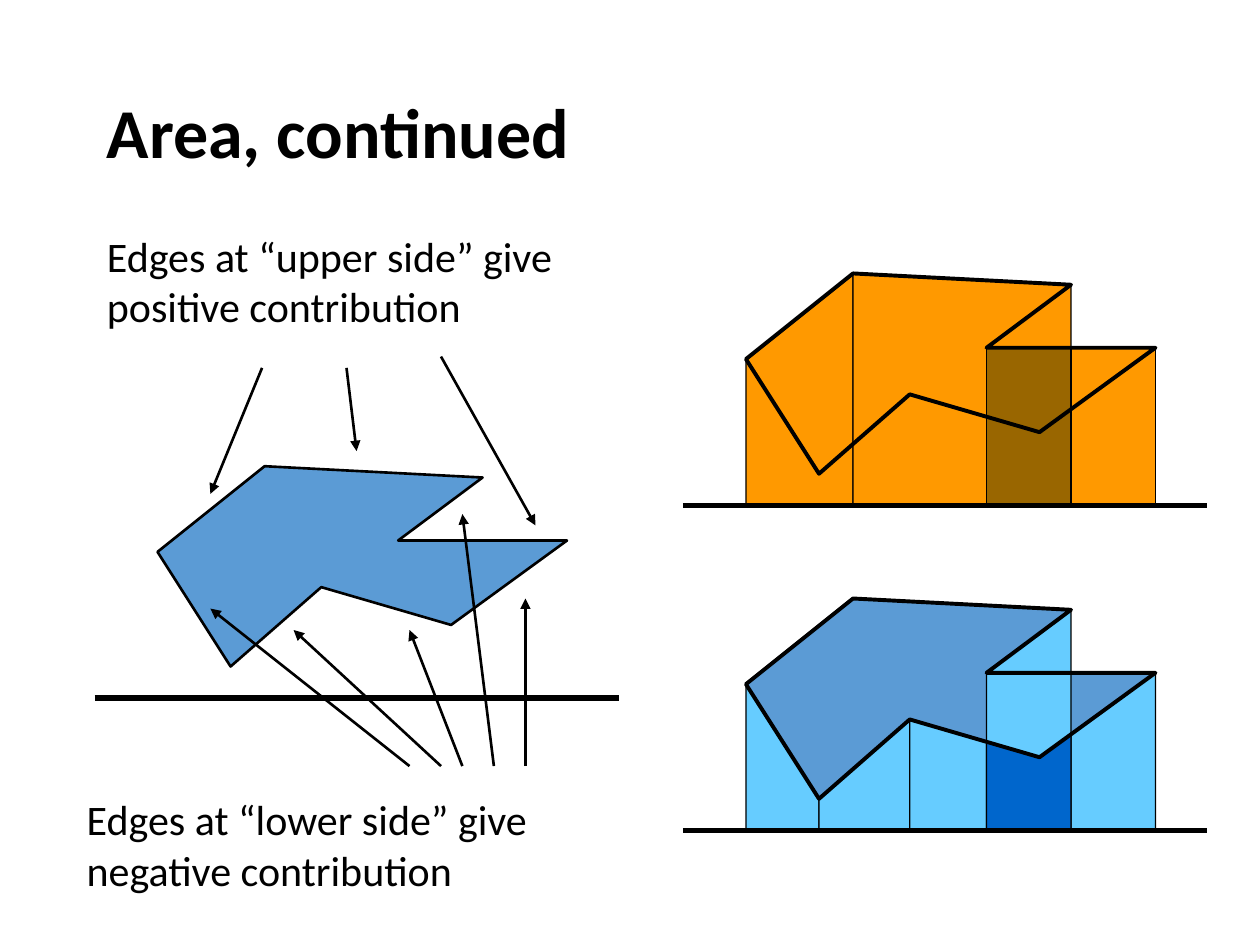
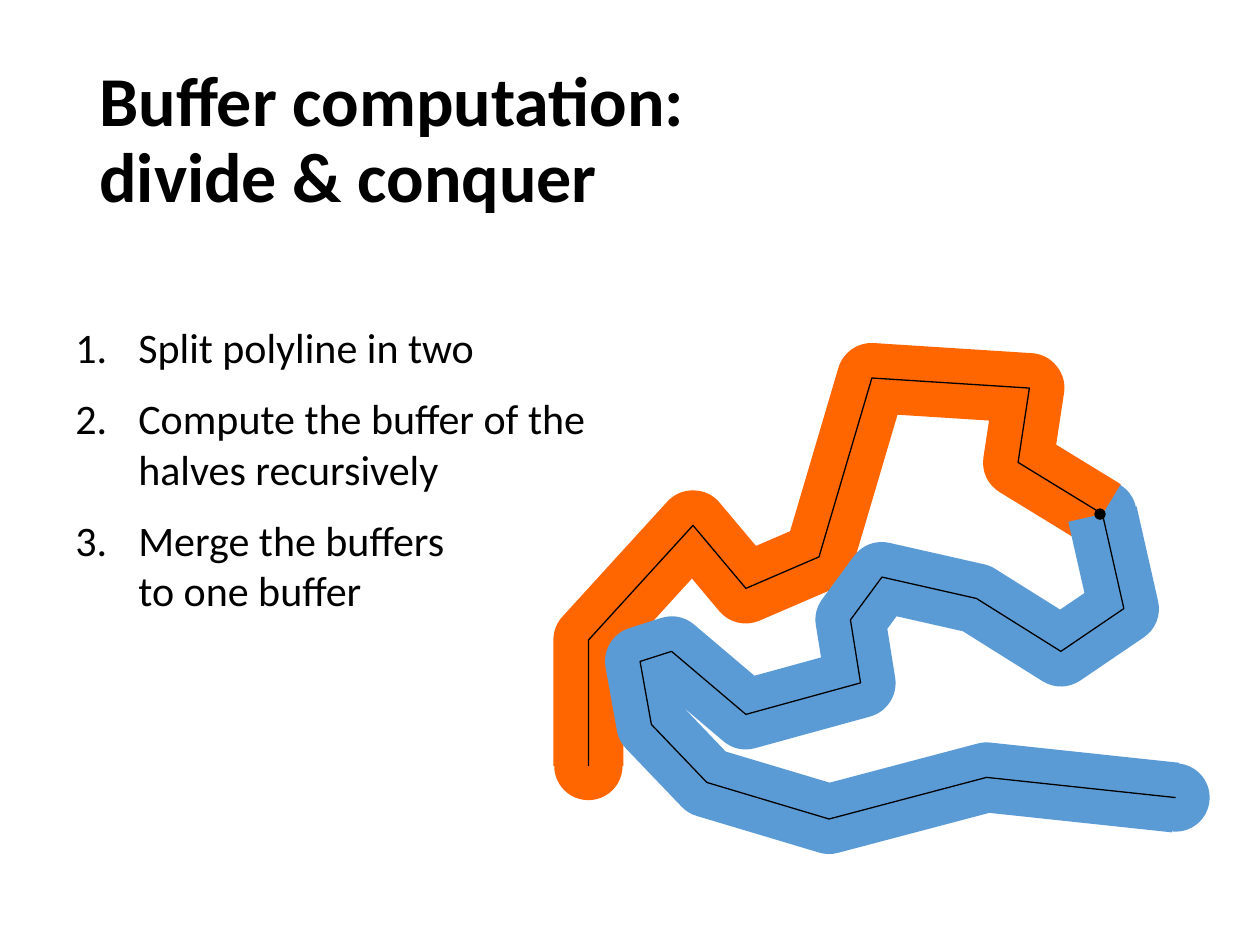
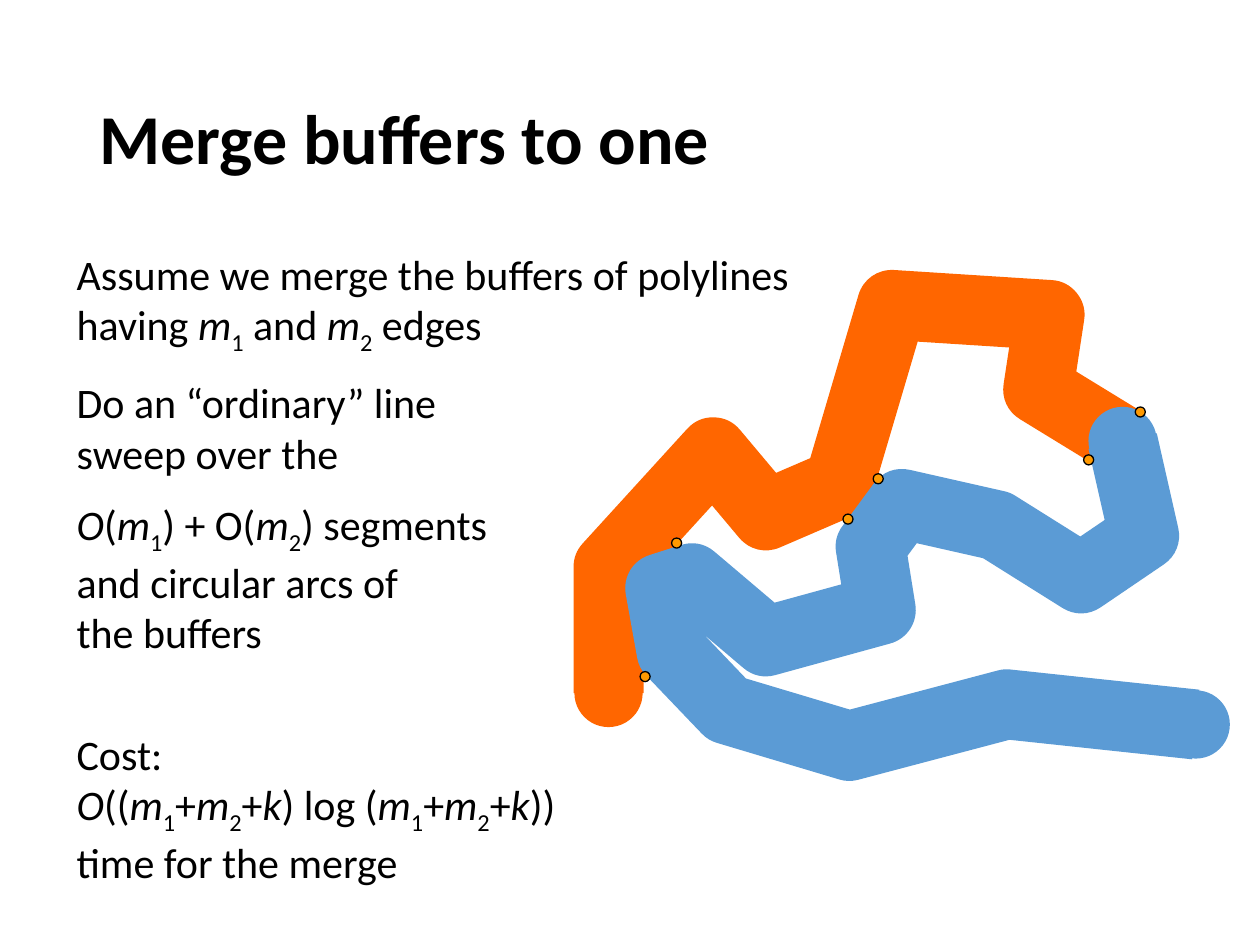
import pptx
import pptx.dml.color
import pptx.enum.shapes
import pptx.enum.text
import pptx.oxml
import pptx.oxml.ns
import pptx.util

Inches = pptx.util.Inches
COLORS = {
    "black": "000000",
    "white": "FFFFFF",
    "polygon": "5B9BD5",
    "upper": "FF9900",
    "upper_overlap": "996600",
    "lower": "66CCFF",
    "lower_overlap": "0066CC",
    "first_half": "FF6600",
    "second_half": "5B9BD5",
    "crossing": "FF9900",
}
FONT = "Calibri"

POLYGON = [(0, 0.68), (0.58, 1.59), (1.3, 0.96), (2.33, 1.26),
           (3.25, 0.59), (1.91, 0.59), (2.58, 0.09), (0.85, 0)]
POLYGON_INDENT = 0.5
BASELINE_DEPTH = 1.84
BASELINE_LENGTH = 4.16
UPPER_EDGES = [(0, 7), (7, 6), (5, 4)]
LOWER_EDGES = [(0, 1), (1, 2), (2, 3), (3, 4), (5, 6)]
UPPER_OVERLAP = [(1.91, 0.59), (2.58, 0.59)]
LOWER_OVERLAP = [(1.91, 1.14), (2.33, 1.26), (2.58, 1.08)]

FIRST_HALF = [(0, 3.08), (0, 2.08), (0.83, 1.17), (1.25, 1.67), (1.83, 1.42),
              (2.25, 0), (3.5, 0.08), (3.41, 0.67), (4.08, 1.08)]
SECOND_HALF = [(4.08, 1.08), (4.25, 1.83), (3.75, 2.17), (3.08, 1.75), (2.33, 1.58),
               (2.08, 1.92), (2.16, 2.42), (1.25, 2.67), (0.66, 2.17), (0.41, 2.25),
               (0.5, 2.75), (0.94, 3.21), (1.91, 3.5), (3.16, 3.17), (4.66, 3.33)]
CROSSINGS = [(0.29, 2.95), (0.54, 1.89), (2.14, 1.38),
             (1.9, 1.7), (4.22, 0.85), (3.81, 1.23)]
BUFFER_WIDTH = 40
CAP_DIAMETER = 0.5
DOT_DIAMETER = 0.08


def rgb(name):
    """Return the named colour."""
    return pptx.dml.color.RGBColor.from_string(COLORS[name])


def add_element(parent, tag, **attributes):
    """Append a drawing element to the parent."""
    element = pptx.oxml.parse_xml(f"<a:{tag} {pptx.oxml.ns.nsdecls('a')}/>")
    for key, value in attributes.items():
        element.set(key, value)
    parent.append(element)


def style(shape, fill, line, width):
    """Give a shape its fill and outline, without a shadow."""
    shape.shadow.inherit = False
    if fill:
        shape.fill.solid()
        shape.fill.fore_color.rgb = rgb(fill)
    else:
        shape.fill.background()
    shape.line.color.rgb = rgb(line)
    shape.line.width = pptx.util.Pt(width)


def outline(slide, left, top, points, fill=None, line="black", width=0.75, close=True):
    """Draw a polygon or polyline whose points are relative to left and top."""
    corners = [(Inches(left + x), Inches(top + y)) for x, y in points]
    builder = slide.shapes.build_freeform(*corners[0])
    builder.add_line_segments(corners[1:], close=close)
    shape = builder.convert_to_shape()
    style(shape, fill, line, width)
    add_element(shape.line._get_or_add_ln(), "round")


def circle(slide, x, y, diameter, fill, line="black", width=0.75):
    """Draw a circle around a centre."""
    shape = slide.shapes.add_shape(
        pptx.enum.shapes.MSO_SHAPE.OVAL, Inches(x - diameter / 2),
        Inches(y - diameter / 2), Inches(diameter), Inches(diameter))
    style(shape, fill, line, width)


def straight(slide, start, end, width, arrow=False):
    """Draw a straight line, optionally with an arrowhead at its end."""
    connector = slide.shapes.add_connector(
        pptx.enum.shapes.MSO_CONNECTOR.STRAIGHT,
        *(Inches(value) for value in (*start, *end)))
    connector.line.color.rgb = rgb("black")
    connector.line.width = pptx.util.Pt(width)
    if arrow:
        add_element(connector.line._get_or_add_ln(), "tailEnd", type="triangle")
    add_element(connector._element.spPr, "effectLst")


def fill_paragraph(paragraph, text, size, bold):
    """Write text where | splits runs, * starts an italic run and _ a subscript."""
    for number, line in enumerate(text.split("\n")):
        if number:
            paragraph.add_line_break()
        for piece in line.split("|"):
            run = paragraph.add_run()
            run.text = piece.lstrip("*_")
            run.font.name = FONT
            run.font.size = pptx.util.Pt(size)
            run.font.bold = bold
            run.font.color.rgb = rgb("black")
            if piece.startswith("*"):
                run.font.italic = True
            if piece.startswith("_"):
                run._r.get_or_add_rPr().set("baseline", "-25000")


def text_block(slide, box, paragraphs, size=24, bold=False, gaps=(), numbered=False):
    """Place paragraphs in a box, with the given gaps between them."""
    frame = slide.shapes.add_textbox(*(Inches(value) for value in box)).text_frame
    frame.word_wrap = True
    for number, text in enumerate(paragraphs):
        paragraph = frame.add_paragraph() if number else frame.paragraphs[0]
        if numbered:
            properties = paragraph._p.get_or_add_pPr()
            properties.set("marL", str(Inches(0.5)))
            properties.set("indent", str(Inches(-0.5)))
            add_element(properties, "buFont", typeface="+mj-lt")
            add_element(properties, "buAutoNum", type="arabicPeriod")
        if number and gaps:
            paragraph.space_before = pptx.util.Pt(gaps[number - 1])
        fill_paragraph(paragraph, text, size, bold)
    return frame


def title(slide, text, box=(0.69, 0.4, 8.62, 1.45)):
    """Write the slide title."""
    frame = text_block(slide, box, [text], size=40, bold=True)
    frame.vertical_anchor = pptx.enum.text.MSO_ANCHOR.MIDDLE
    frame.paragraphs[0].line_spacing = 0.9


def baseline(slide, left, top):
    """Draw the ground line of a polygon figure."""
    depth = top + BASELINE_DEPTH
    straight(slide, (left, depth), (left + BASELINE_LENGTH, depth), 3)


def strip(slide, left, top, roof, fill):
    """Fill the area between a roof line and the ground line."""
    ground = [(roof[-1][0], BASELINE_DEPTH), (roof[0][0], BASELINE_DEPTH)]
    outline(slide, left, top, [*roof, *ground], fill)


def area_figure(slide, left, top, edges, side, overlap):
    """Draw the polygon with the strips below the given edges."""
    inner = left + POLYGON_INDENT
    outline(slide, inner, top, POLYGON, "polygon")
    for start, end in edges:
        strip(slide, inner, top, [POLYGON[start], POLYGON[end]], side)
    strip(slide, inner, top, overlap, side + "_overlap")
    baseline(slide, left, top)
    outline(slide, inner, top, POLYGON, width=2.25)


def edges_figure(slide, left, top):
    """Draw the plain polygon with arrows to its upper and lower edges."""
    outline(slide, left + POLYGON_INDENT, top, POLYGON, "polygon", width=1.5)
    baseline(slide, left, top)
    upper_arrows = [((1.33, -0.78), (0.92, 0.22)), ((2, -0.78), (2.08, -0.12)),
                    ((2.75, -0.87), (3.5, 0.47))]
    lower_starts = [2.5, 2.75, 2.92, 3.17, 3.42]
    lower_ends = [(0.92, 1.13), (1.58, 1.3), (2.5, 1.3), (2.92, 0.38), (3.42, 1.05)]
    lower_arrows = [((x, 2.38), end) for x, end in zip(lower_starts, lower_ends)]
    for start, end in upper_arrows + lower_arrows:
        straight(slide, (left + start[0], top + start[1]),
                 (left + end[0], top + end[1]), 1.5, arrow=True)


def buffers(slide, left, top, first_covers_split):
    """Draw the buffers of both polyline halves with their round ends."""
    def cap(point, color):
        """Draw a round buffer end."""
        circle(slide, left + point[0], top + point[1], CAP_DIAMETER, color, color, 3)

    def band(points, color):
        """Draw a half as a wide band."""
        outline(slide, left, top, points, None, color, BUFFER_WIDTH, close=False)

    cap(FIRST_HALF[0], "first_half")
    if first_covers_split:
        cap(SECOND_HALF[0], "second_half")
    band(FIRST_HALF, "first_half")
    if not first_covers_split:
        cap(SECOND_HALF[0], "second_half")
    cap(SECOND_HALF[-1], "second_half")
    band(SECOND_HALF, "second_half")


def area_slide(slide):
    """Build the slide on signed area contributions."""
    title(slide, "Area, continued", (0.75, 0.45, 8.5, 1.25))
    text_block(slide, (0.75, 1.78, 4.6, 0.91),
               ["Edges at “upper side” give positive contribution"])
    text_block(slide, (0.59, 6.25, 4.67, 0.91),
               ["Edges at “lower side” give negative contribution"])
    edges_figure(slide, 0.75, 3.7)
    area_figure(slide, 5.42, 2.17, UPPER_EDGES, "upper", UPPER_OVERLAP)
    area_figure(slide, 5.42, 4.75, LOWER_EDGES, "lower", LOWER_OVERLAP)


def divide_slide(slide, left=4.67, top=3):
    """Build the slide on divide and conquer."""
    buffers(slide, left, top, first_covers_split=True)
    for half in (FIRST_HALF, SECOND_HALF):
        outline(slide, left, top, half, close=False)
    circle(slide, left + 4.06, top + 1.08, DOT_DIAMETER, "black")
    title(slide, "Buffer computation:\ndivide & conquer")
    text_block(slide, (0.5, 2.5, 4.67, 2.52),
               ["Split polyline in two",
                "Compute the buffer of the halves recursively",
                "Merge the buffers\nto one buffer"],
               gaps=(12, 12), numbered=True)


def merge_slide(slide, left=4.83, top=2.42):
    """Build the slide on merging two buffers."""
    text_block(slide, (0.51, 1.92, 6.07, 5.15),
               ["Assume we merge the buffers of polylines having |*m|_1| and |*m|_2| edges",
                "Do an “ordinary” line\nsweep over the",
                "*O|(|*m|_1|) + O(|*m|_2|) segments\nand circular arcs of\nthe buffers",
                "Cost:\n*O|((|*m|_1|+|*m|_2|+|*k|) log (|*m|_1|+|*m|_2|+|*k|))\n"
                "time for the merge"],
               gaps=(12, 12, 41))
    buffers(slide, left, top, first_covers_split=False)
    title(slide, "Merge buffers to one")
    for x, y in CROSSINGS:
        circle(slide, left + x, top + y, DOT_DIAMETER, "crossing")


def main():
    """Build and save the presentation."""
    deck = pptx.Presentation()
    deck.slide_width = Inches(10)
    deck.slide_height = Inches(7.5)
    for build in (area_slide, divide_slide, merge_slide):
        slide = deck.slides.add_slide(deck.slide_layouts[6])
        slide.background.fill.solid()
        slide.background.fill.fore_color.rgb = rgb("white")
        build(slide)
    deck.save("out.pptx")


if __name__ == "__main__":
    main()
